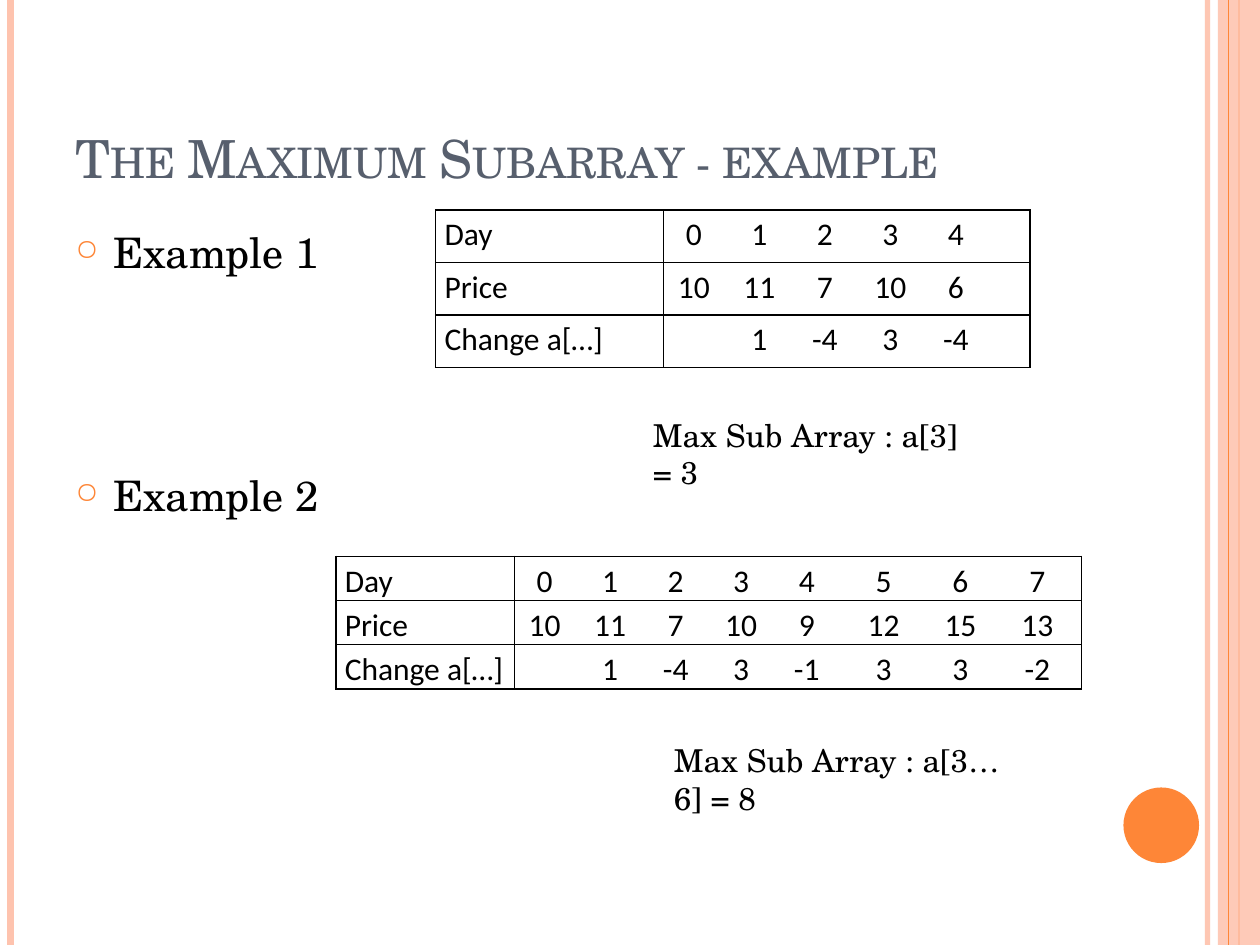
"""Build the maximum subarray example slide on a grid of 120 columns by 90 rows."""
from lxml import etree
from pptx import Presentation
from pptx import util as u
from pptx.dml.color import RGBColor
from pptx.enum import shapes, text
from pptx.oxml import parse_xml
from pptx.oxml.ns import nsdecls, qn

COLORS = {"peach": "FEC3AE", "orange": "FE8637", "slate": "575F6D", "black": "000000"}
SERIF, SANS = "TeX Gyre Schola", "Calibri"


def grid(*counts):
    """Turn counts of grid cells into lengths."""
    return [u.Emu(round(deck.slide_width * count / 120)) for count in counts]


def write(para, words, font=SERIF, size=18, color="black", small_caps=False,
          bullet=None, tabs=(), before=0, spacing=None):
    """Write one formatted paragraph."""
    props = para._p.get_or_add_pPr()
    if bullet:
        hang = u.Inches(0.3)
        props.set("marL", str(hang))
        props.set("indent", str(-hang))
        for markup in (f'<a:buClr {nsdecls("a")}><a:srgbClr val="{COLORS["orange"]}"/></a:buClr>',
                       f'<a:buSzPct {nsdecls("a")} val="70000"/>',
                       f'<a:buChar {nsdecls("a")} char="{bullet}"/>'):
            props.append(parse_xml(markup))
    if tabs:
        stops = etree.SubElement(props, qn("a:tabLst"))
        for stop in tabs:
            etree.SubElement(stops, qn("a:tab"), pos=str(u.Inches(stop)), algn="ctr")
    para.space_before = u.Pt(before)
    if spacing:
        para.line_spacing = spacing
    span = para.add_run()
    span.text = words
    span.font.name, span.font.size = font, u.Pt(size)
    span.font.color.rgb = RGBColor.from_string(COLORS[color])
    if small_caps:
        span._r.get_or_add_rPr().set("cap", "small")


deck = Presentation()
deck.slide_width, deck.slide_height = u.Inches(10), u.Inches(7.5)
page = deck.slides.add_slide(deck.slide_layouts[6])

for kind, column, weight, color, alpha in [
    ("line", 115, 3, "peach", 93),
    ("line", 1, 4.5, "peach", 100),
    ("line", 118, 1.5, "orange", 100),
    ("band", 116, 0, "peach", 87),
    ("line", 117, 0.75, "orange", 100),
]:
    if kind == "line":
        stripe = page.shapes.add_connector(shapes.MSO_CONNECTOR.STRAIGHT, *grid(column, 0, column, 90))
        etree.SubElement(stripe._element.spPr, qn("a:effectLst"))
        stripe.line.width = u.Pt(weight)
        paint = stripe.line.fill
    else:
        stripe = page.shapes.add_shape(shapes.MSO_SHAPE.RECTANGLE, *grid(column, 0, 4, 90))
        stripe.shadow.inherit = False
        stripe.line.fill.background()
        paint = stripe.fill
    paint.solid()
    paint.fore_color.rgb = RGBColor.from_string(COLORS[color])
    if alpha < 100:
        tint = next(stripe._element.spPr.iter(qn("a:srgbClr")))
        etree.SubElement(tint, qn("a:alpha"), val=str(alpha * 1000))

dot = page.shapes.add_shape(shapes.MSO_SHAPE.OVAL, *grid(107, 75, 7.2, 7.2))
dot.shadow.inherit = False
dot.fill.solid()
dot.fill.fore_color.rgb = RGBColor.from_string(COLORS["orange"])
dot.line.fill.background()

heading = {"size": 30, "color": "slate", "small_caps": True}
item = {"size": 24, "bullet": "○"}
for place, anchor, lines in [
    ((6, 3.6, 98, 15), "BOTTOM", [("The Maximum Subarray - example", heading)]),
    ((6, 21, 35, 59.4), "TOP", [("Example 1", item), ("Example 2", {**item, "before": 110})]),
    ((61, 39, 31.8, 4.8), "TOP", [("Max Sub Array : a[3] = 3", {})]),
    ((63, 70, 35.4, 4.8), "TOP", [("Max Sub Array : a[3…6] = 8", {})]),
]:
    box = page.shapes.add_textbox(*grid(*place))
    frame = box.text_frame
    frame.word_wrap = True
    frame.vertical_anchor = text.MSO_ANCHOR[anchor]
    for index, (words, style) in enumerate(lines):
        para = frame.add_paragraph() if index else frame.paragraphs[0]
        write(para, words, **style)

for left, top, widths, height, rows in [
    (41.5, 20, (21.7, 34.9), 5, [
        ("Day", "0 1 2 3 4"),
        ("Price", "10 11 7 10 6"),
        ("Change a[…]", "- 1 -4 3 -4"),
    ]),
    (32, 53, (17, 54), 4.2, [
        ("Day", "0 1 2 3 4 5 6 7"),
        ("Price", "10 11 7 10 9 12 15 13"),
        ("Change a[…]", "- 1 -4 3 -1 3 3 -2"),
    ]),
]:
    holder = page.shapes.add_table(len(rows), 2, *grid(left, top, sum(widths), height * len(rows)))
    table = holder.table
    table.first_row = table.horz_banding = False
    for column, width in zip(table.columns, grid(*widths)):
        column.width = width
    for row, (label, numbers) in zip(table.rows, rows):
        row.height = grid(height)[0]
        values = ["" if value == "-" else value for value in numbers.split()]
        stops = [0.17 + 0.52 * day + 0.09 * max(0, day - 4) for day in range(len(values))]
        series = "".join("\t" + value for value in values)
        for cell, words, tabs in zip(row.cells, (label, series), ((), stops)):
            cell.margin_left = cell.margin_right = u.Inches(0.07)
            cell.margin_top = cell.margin_bottom = 0
            write(cell.text_frame.paragraphs[0], words, font=SANS, tabs=tabs, spacing=1.15)
            props = cell._tc.get_or_add_tcPr()
            for side in ("lnL", "lnR", "lnT", "lnB"):
                props.append(parse_xml(
                    f'<a:{side} {nsdecls("a")} w="{u.Pt(1)}"><a:solidFill>'
                    f'<a:srgbClr val="{COLORS["black"]}"/></a:solidFill></a:{side}>'))
            cell.fill.background()

deck.save("out.pptx")
